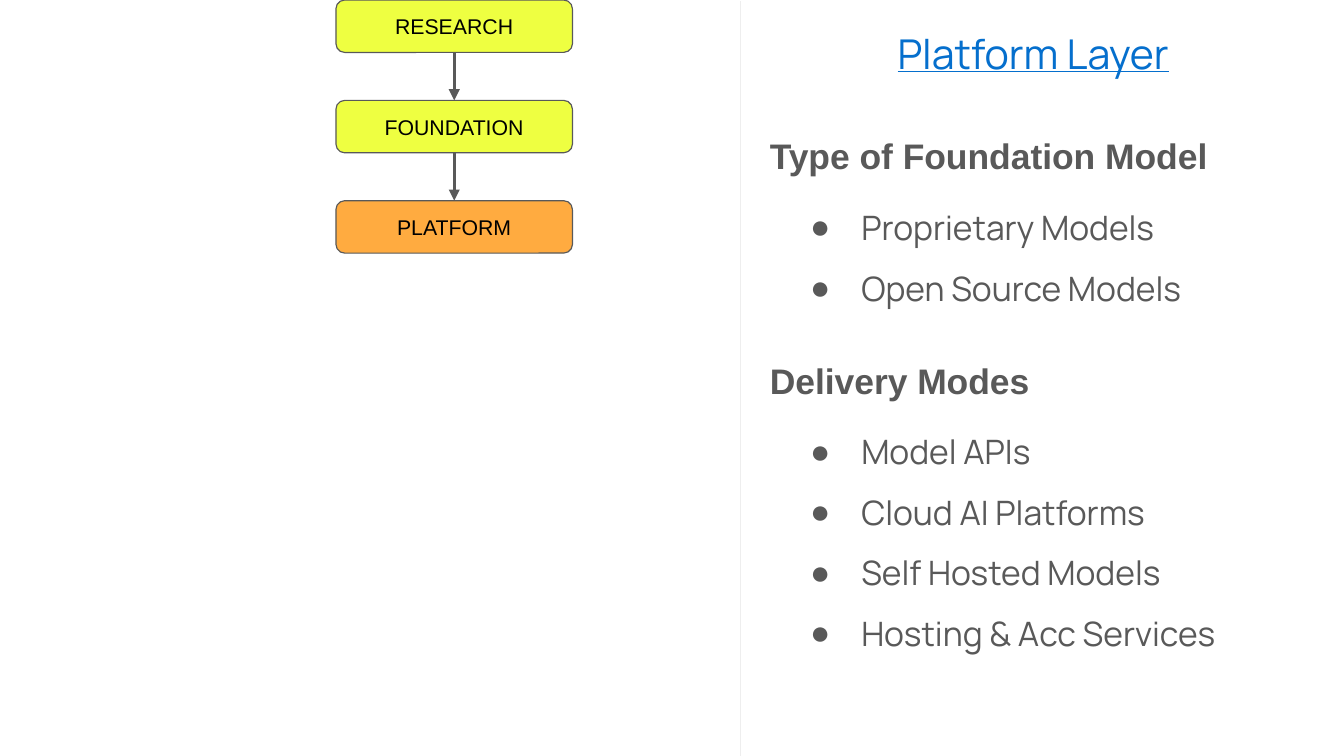
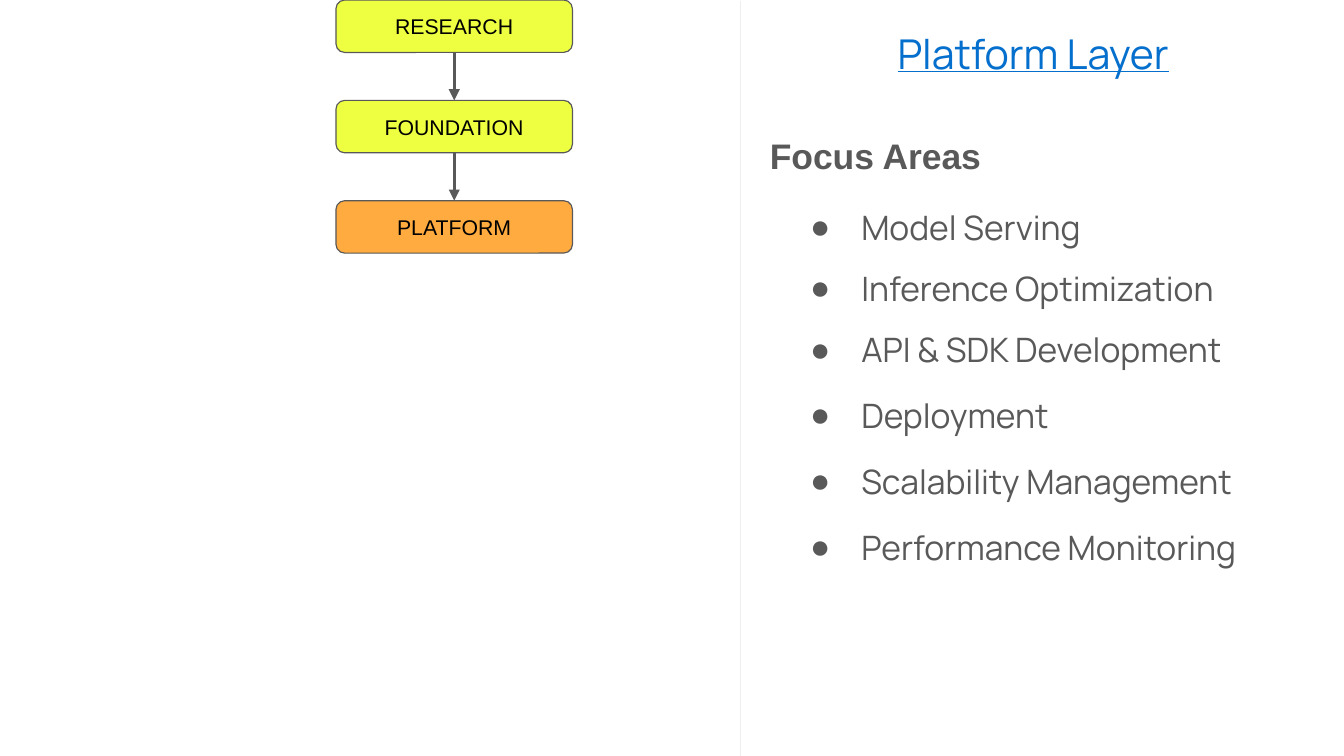
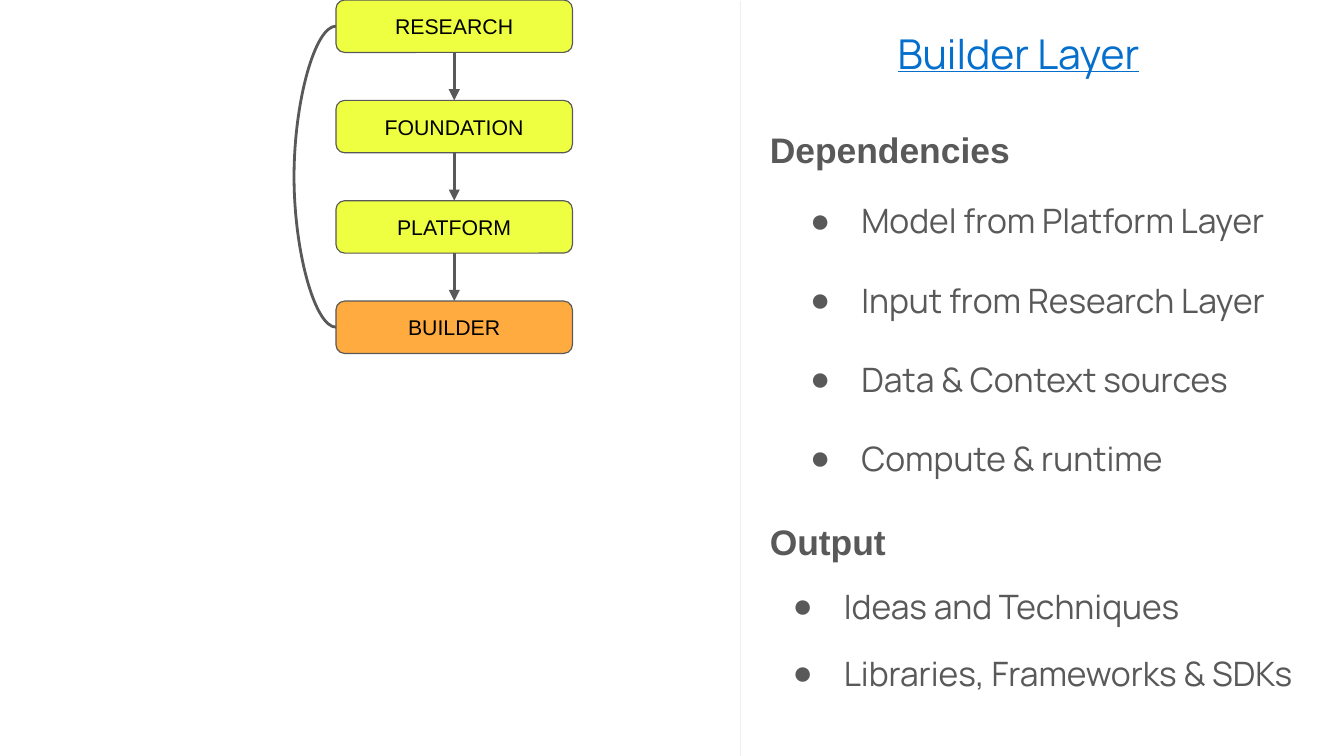
from pptx import Presentation
from pptx.dml.color import RGBColor
from pptx.enum.shapes import MSO_CONNECTOR as Connector, MSO_SHAPE as Shape
from pptx.enum.text import MSO_ANCHOR as Anchor, PP_ALIGN as Align
from pptx.oxml.ns import qn
from pptx.util import Emu, Inches, Pt
from lxml.etree import SubElement

TOP, LEFT, BOTTOM = 0, 1, 2


def color(value):
    return RGBColor.from_string(value)


def write(shape, text, size, font, ink, bold=False, underline=False,
          align=Align.LEFT, anchor=Anchor.TOP, inset=0.1):
    """Put one formatted paragraph into a shape and return it."""
    frame = shape.text_frame
    frame.word_wrap = True
    frame.vertical_anchor = anchor
    frame.margin_left = frame.margin_right = Inches(inset)
    frame.margin_top = frame.margin_bottom = Inches(inset)
    paragraph = frame.paragraphs[0]
    paragraph.alignment = align
    run = paragraph.add_run()
    run.text = text
    run.font.size = Pt(size)
    run.font.name = font
    run.font.bold = bold
    run.font.underline = underline
    run.font.color.rgb = color(ink)
    return paragraph


class Deck:
    GRAY, RULE, BLUE, BLACK = "595959", "EEEEEE", "056FCD", "000000"
    DONE, CURRENT = "EEFF41", "FFAB40"
    SANS, BODY = "Arial", "Manrope"
    BOX_LEFT, BOX_WIDTH, BOX_HEIGHT = 2.5, 1.76, 0.39
    BOX_PITCH = 2.24 / 3

    def __init__(self):
        self.presentation = Presentation()
        self.presentation.slide_width = Inches(10)
        self.presentation.slide_height = Inches(10 * 9 / 16)
        self.slide = None

    def add_slide(self, title, layers):
        """Start a slide with its divider, layer chain and title."""
        self.slide = self.presentation.slides.add_slide(
            self.presentation.slide_layouts[6])
        self.line(self.RULE, 0.75, start=(5.51, 0.01), end=(5.51, 5.67))
        boxes = self.chain(layers)
        self.text(title, 6.58, 0.11, 3.23, 0.42, size=22, font=self.BODY,
                  ink=self.BLUE, underline=True)
        return boxes

    def text(self, text, left, top, width, height, **style):
        box = self.slide.shapes.add_textbox(
            Inches(left), Inches(top), Inches(width), Inches(height))
        return write(box, text, **style)

    def line(self, ink, weight, start, end, kind=Connector.STRAIGHT):
        connector = self.slide.shapes.add_connector(
            kind, *(Inches(value) for value in (*start, *end)))
        connector.line.color.rgb = color(ink)
        connector.line.width = Pt(weight)
        SubElement(connector._element.spPr, qn("a:effectLst"))
        return connector

    def join(self, first, first_side, last, last_side, kind=Connector.STRAIGHT):
        # Starting from the full slide keeps the line unflipped when it is joined
        connector = self.line(self.GRAY, 1.5, (0, 0), (10, 5), kind)
        connector.begin_connect(first, first_side)
        connector.end_connect(last, last_side)
        return connector

    def layer_box(self, name, top, fill):
        box = self.slide.shapes.add_shape(
            Shape.ROUNDED_RECTANGLE, Inches(self.BOX_LEFT), Inches(top),
            Inches(self.BOX_WIDTH), Inches(self.BOX_HEIGHT))
        box.shadow.inherit = False
        box.fill.solid()
        box.fill.fore_color.rgb = color(fill)
        box.line.color.rgb = color(self.GRAY)
        box.line.width = Pt(0.61)
        write(box, name, size=11.4, font=self.SANS, ink=self.BLACK,
              align=Align.CENTER, anchor=Anchor.MIDDLE, inset=0.08)
        return box

    def chain(self, layers):
        """Stack the layers, joined by arrows; the last one is current."""
        boxes = []
        for index, name in enumerate(layers):
            fill = self.CURRENT if name == layers[-1] else self.DONE
            boxes.append(self.layer_box(name, index * self.BOX_PITCH, fill))
        for upper, lower in zip(boxes, boxes[1:]):
            self.arrow(upper, lower)
        return boxes

    def arrow(self, upper, lower):
        connector = self.join(upper, BOTTOM, lower, TOP)
        SubElement(connector.line._get_or_add_ln(), qn("a:tailEnd"), type="triangle")

    def side_curve(self, first, last, bulge=0.26):
        """Link the left sides of two boxes with a curve bulging outwards."""
        connector = self.join(first, LEFT, last, LEFT, Connector.CURVE)
        # The bulge is a share of the width, so the width must not be zero
        connector.width = Emu(600)
        geometry = connector._element.spPr.find(qn("a:prstGeom"))
        guides = geometry.find(qn("a:avLst"))
        if guides is None:
            guides = SubElement(geometry, qn("a:avLst"))
        share = -Inches(bulge) / connector.width
        SubElement(guides, qn("a:gd"), name="adj1",
                   fmla=f"val {round(share * 100000)}")

    def heading(self, text, top, width):
        self.text(text, 5.63, top, width, 0.39, size=19, font=self.SANS,
                  ink=self.GRAY, bold=True)

    def bullets(self, items, top, pitch, left=5.81, height=0.67):
        for index, item in enumerate(items):
            paragraph = self.text(item, left, top + index * pitch, 4.19, height,
                                  size=18, font=self.BODY, ink=self.GRAY)
            properties = paragraph._p.get_or_add_pPr()
            properties.set("marL", str(Inches(0.5)))
            properties.set("indent", str(Inches(-0.38)))
            bullet_color = SubElement(properties, qn("a:buClr"))
            SubElement(bullet_color, qn("a:srgbClr"), val=self.GRAY)
            SubElement(properties, qn("a:buFont"), typeface=self.SANS)
            SubElement(properties, qn("a:buChar"), char="●")


def main():
    deck = Deck()
    layers = ["RESEARCH", "FOUNDATION", "PLATFORM", "BUILDER"]

    # Platform layer: models and delivery
    deck.add_slide("Platform Layer", layers[:3])
    deck.heading("Type of Foundation Model", 0.9, 4.03)
    deck.bullets(["Proprietary Models", "Open Source Models"], 1.44, 0.45)
    deck.heading("Delivery Modes", 2.57, 4.03)
    deck.bullets(["Model APIs", "Cloud AI Platforms", "Self Hosted Models",
                  "Hosting & Acc Services"], 3.11, 0.45)

    # Platform layer: focus areas
    deck.add_slide("Platform Layer", layers[:3])
    deck.heading("Focus Areas", 0.9, 1.86)
    deck.bullets(["Model Serving", "Inference Optimization"], 1.44, 0.45)
    deck.bullets(["API & SDK Development", "Deployment", "Scalability Management",
                  "Performance Monitoring"], 2.35, 0.49)

    # Builder layer: dependencies and output
    boxes = deck.add_slide("Builder Layer", layers)
    deck.side_curve(boxes[0], boxes[-1])
    deck.heading("Dependencies", 0.85, 3.04)
    deck.bullets(["Model from Platform Layer", "Input from Research Layer",
                  "Data & Context sources", "Compute & runtime"], 1.39, 0.59)
    deck.heading("Output", 3.77, 1.86)
    deck.bullets(["Ideas and Techniques", "Libraries, Frameworks & SDKs"],
                 4.26, 0.5, left=5.68, height=0.48)

    deck.presentation.save("out.pptx")


if __name__ == "__main__":
    main()
